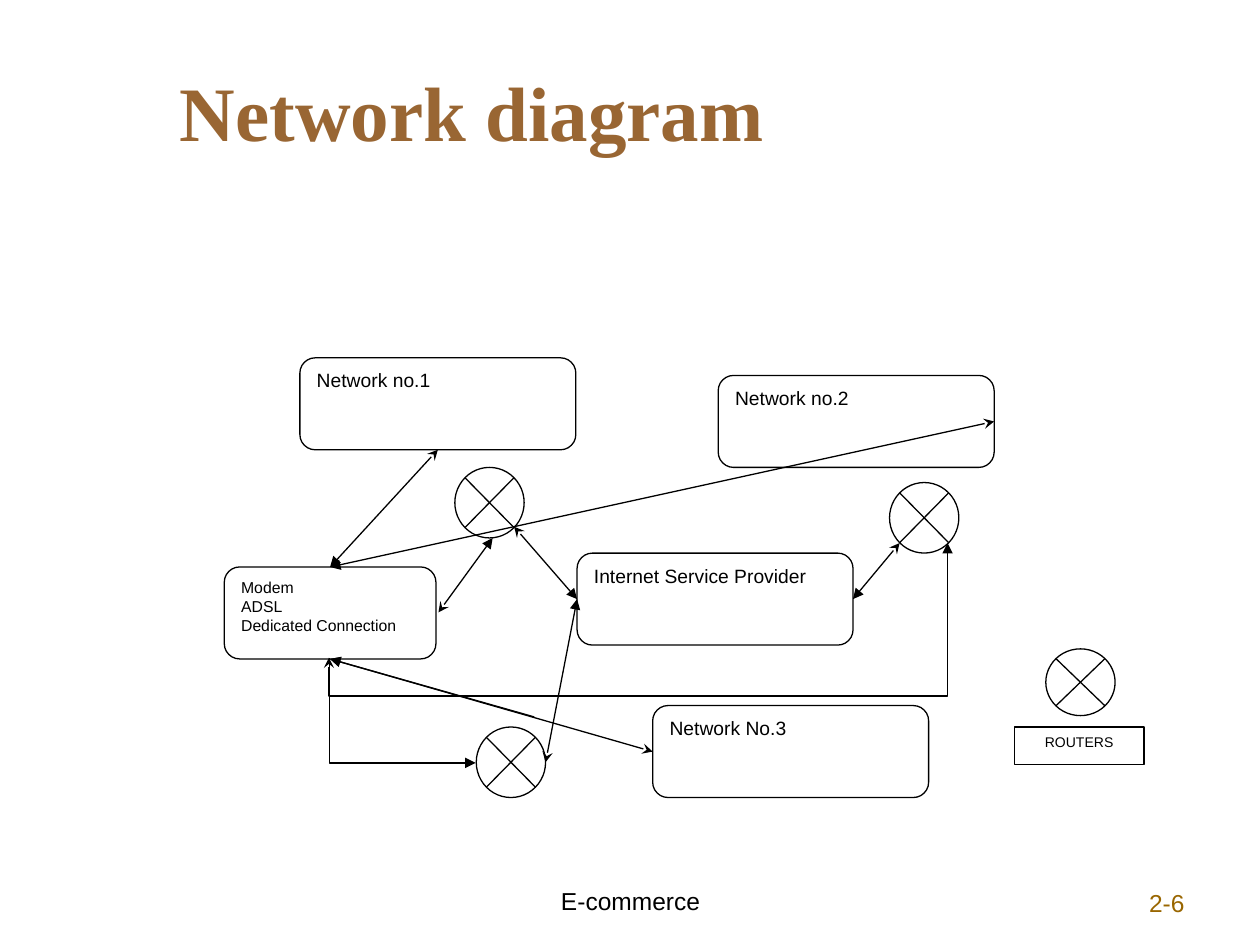
from dataclasses import dataclass

from lxml.etree import SubElement
from pptx import Presentation
from pptx.dml.color import RGBColor
from pptx.enum.shapes import MSO_CONNECTOR, MSO_SHAPE
from pptx.enum.text import MSO_ANCHOR, PP_ALIGN
from pptx.oxml.ns import qn
from pptx.util import Inches, Pt


@dataclass(frozen=True)
class Theme:
    ink: str = "000000"
    paper: str = "FFFFFF"
    title: str = "996633"
    number: str = "996600"
    serif: str = "Times New Roman"
    sans: str = "Arial"
    big: float = 44
    foot: float = 14
    node: float = 11
    small: float = 9
    label: float = 8
    line: float = 0.75


THEME = Theme()
TOP, LEFT, BOTTOM, RIGHT = range(4)


def paint(shape):
    shape.shadow.inherit = False
    shape.fill.solid()
    shape.fill.fore_color.rgb = RGBColor.from_string(THEME.paper)
    shape.line.color.rgb = RGBColor.from_string(THEME.ink)
    shape.line.width = Pt(THEME.line)


def write(shape, lines, size, color=THEME.ink, font=THEME.sans,
          align=PP_ALIGN.LEFT, anchor=MSO_ANCHOR.TOP, bold=False):
    frame = shape.text_frame
    frame.word_wrap = True
    frame.vertical_anchor = anchor
    for i, line in enumerate(lines):
        para = frame.add_paragraph() if i else frame.paragraphs[0]
        para.alignment = align
        run = para.add_run()
        run.text = line
        run.font.size = Pt(size)
        run.font.name = font
        run.font.bold = bold
        run.font.color.rgb = RGBColor.from_string(color)


def add_text(slide, box, line, size, **style):
    shape = slide.shapes.add_textbox(*map(Inches, box))
    write(shape, [line], size, **style)


def add_node(slide, x, y, lines, size=THEME.node, width=2.19):
    shape = slide.shapes.add_shape(
        MSO_SHAPE.FLOWCHART_ALTERNATE_PROCESS,
        Inches(x), Inches(y), Inches(width), Inches(0.73))
    paint(shape)
    write(shape, lines, size)
    return shape


def add_router(slide, x, y, height=0.56):
    shape = slide.shapes.add_shape(
        MSO_SHAPE.FLOWCHART_SUMMING_JUNCTION,
        Inches(x), Inches(y), Inches(0.55), Inches(height))
    paint(shape)


def add_line(slide, start, end, head=True, kind=MSO_CONNECTOR.STRAIGHT):
    """An end is either a point or a (node, side) pair to join."""
    def spot(place):
        return (0, 0) if hasattr(place[0], "shape_id") else map(Inches, place)

    line = slide.shapes.add_connector(kind, *spot(start), *spot(end))
    if hasattr(start[0], "shape_id"):
        line.begin_connect(*start)
    if hasattr(end[0], "shape_id"):
        line.end_connect(*end)
    line.line.color.rgb = RGBColor.from_string(THEME.ink)
    line.line.width = Pt(THEME.line)
    pen = line.line._get_or_add_ln()
    if head:
        SubElement(pen, qn("a:headEnd"), type="stealth")
    SubElement(pen, qn("a:tailEnd"), type="triangle")
    SubElement(line._element.spPr, qn("a:effectLst"))
    return line


def add_bend(slide, box, turn, flips, preset, adjust=None, head=True):
    """An elbow given by its unturned box, its turn and its flips."""
    line = add_line(slide, (0, 0), (1, 1), head, MSO_CONNECTOR.ELBOW)
    line.left, line.top, line.width, line.height = map(Inches, box)
    props = line._element.spPr
    frame = props.find(qn("a:xfrm"))
    frame.set("rot", str(turn * 60000))
    for flip in flips:
        frame.set(flip, "1")
    shape = props.find(qn("a:prstGeom"))
    shape.set("prst", preset)
    if adjust is not None:
        values = shape.find(qn("a:avLst"))
        SubElement(values, qn("a:gd"), name="adj1", fmla=f"val {adjust}")


def main():
    deck = Presentation()
    deck.slide_width, deck.slide_height = Inches(10), Inches(7.5)
    slide = deck.slides.add_slide(deck.slide_layouts[6])

    # Title and footer
    add_text(slide, (1.33, 0.25, 8.67, 1.25), "Network diagram", THEME.big,
             color=THEME.title, font=THEME.serif, bold=True,
             anchor=MSO_ANCHOR.MIDDLE)
    add_text(slide, (7.17, 7, 2.33, 0.5), "2-6", THEME.foot,
             color=THEME.number, align=PP_ALIGN.RIGHT)
    add_text(slide, (2.92, 6.98, 4.17, 0.52), "E-commerce", THEME.foot,
             align=PP_ALIGN.CENTER)

    # Networks, provider and modem
    net1 = add_node(slide, 2.38, 2.84, ["Network no.1"])
    isp = add_node(slide, 4.58, 4.39, ["Internet Service Provider"])
    net2 = add_node(slide, 5.7, 2.98, ["Network no.2"])
    net3 = add_node(slide, 5.18, 5.6, ["Network No.3"])
    modem = add_node(slide, 1.78, 4.5,
                     ["Modem", "ADSL", "Dedicated Connection"],
                     THEME.small, 1.68)

    # Routers
    for x, y in ((3.61, 3.71), (7.06, 3.83), (3.78, 5.77)):
        add_router(slide, x, y)

    # Straight links
    add_line(slide, (net1, BOTTOM), (modem, TOP))
    add_line(slide, (net3, LEFT), (modem, BOTTOM))
    add_line(slide, (4.24, 5.69), (modem, BOTTOM), head=False)
    add_line(slide, (4.08, 4.18), (isp, LEFT))
    add_line(slide, (net2, RIGHT), (modem, TOP))
    add_line(slide, (3.48, 4.86), (3.91, 4.27))
    add_line(slide, (7.14, 4.31), (isp, RIGHT))
    add_line(slide, (4.33, 6.05), (isp, LEFT))

    # Elbow links from the modem to the routers
    add_bend(slide, (4.61, 2.31, 0.91, 4.91), 90, ("flipH", "flipV"),
             "bentConnector3", adjust=-33500)
    add_bend(slide, (2.78, 5.06, 0.83, 1.16), 270, ("flipH",),
             "bentConnector2", head=False)

    # Legend
    add_router(slide, 8.3, 5.15, 0.53)
    label = slide.shapes.add_shape(
        MSO_SHAPE.RECTANGLE,
        Inches(8.05), Inches(5.77), Inches(1.03), Inches(0.3))
    paint(label)
    write(label, ["ROUTERS"], THEME.label, align=PP_ALIGN.CENTER)

    deck.save("out.pptx")


if __name__ == "__main__":
    main()
